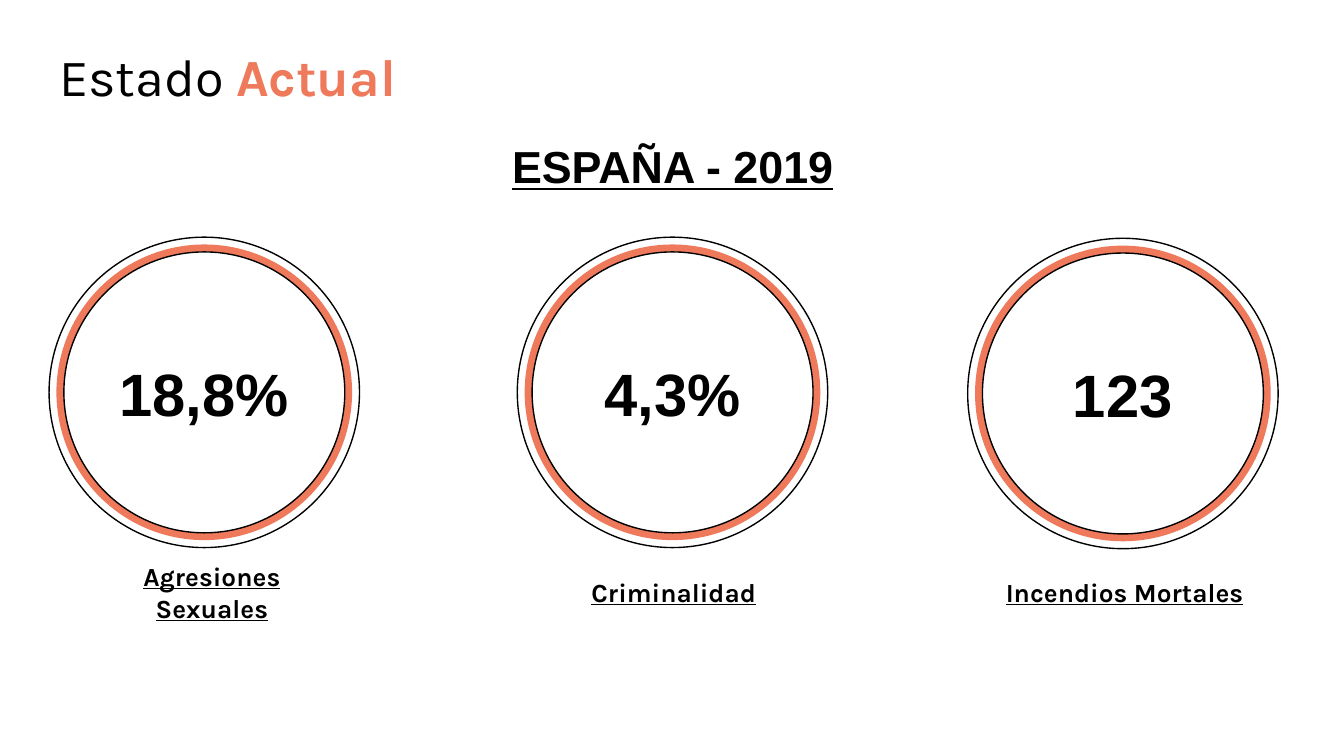
from dataclasses import dataclass
from typing import Optional

from pptx import Presentation
from pptx import util as u
from pptx.dml.color import RGBColor
from pptx.enum import shapes, text

BLACK = RGBColor(0x00, 0x00, 0x00)
WHITE = RGBColor(0xFF, 0xFF, 0xFF)
CORAL = RGBColor(0xEE, 0x79, 0x5B)

WIDTH = u.Inches(10)
HEIGHT = u.Emu(WIDTH * 9 // 16)
INSET = u.Inches(0.1)
LABEL_WIDTH, LABEL_HEIGHT = u.Inches(2.09), u.Inches(0.35)
LABEL_TOP = u.Inches(4.23)


@dataclass(frozen=True)
class Style:
    font: str
    size: int
    color: RGBColor = BLACK
    bold: bool = True
    underline: bool = False


@dataclass(frozen=True)
class Ring:
    diameter: float
    fill: Optional[RGBColor]
    outline: Optional[RGBColor]


@dataclass(frozen=True)
class Statistic:
    value: str
    label: str
    x_percent: float
    y_percent: float
    label_percent: float


HEADING = Style("Arial", 24, underline=True)
VALUE = Style("Arial", 32)
LABEL = Style("Karla", 14, underline=True)
TITLE_RUNS = (
    ("Estado ", Style("Karla", 28, bold=False)),
    ("Actual", Style("Karla", 28, CORAL)),
)
RINGS = (
    Ring(2.2, CORAL, None),
    Ring(2.31, None, BLACK),
    Ring(2.09, WHITE, BLACK),
)
STATISTICS = (
    Statistic("18,8%", "Agresiones Sexuales", 15.2, 51.9, 15.77),
    Statistic("4,3%", "Criminalidad", 50.04, 51.9, 50.13),
    Statistic("123", "Incendios Mortales", 83.55, 52.05, 83.68),
)


def add_run(paragraph, wording: str, style: Style) -> None:
    run = paragraph.add_run()
    run.text = wording
    run.font.name = style.font
    run.font.size = u.Pt(style.size)
    run.font.bold = style.bold
    run.font.underline = style.underline
    run.font.color.rgb = style.color


def set_frame(shape, anchor, wrap: bool = True):
    frame = shape.text_frame
    frame.word_wrap = wrap
    frame.auto_size = text.MSO_AUTO_SIZE.NONE
    frame.vertical_anchor = anchor
    frame.margin_left = frame.margin_right = INSET
    frame.margin_top = frame.margin_bottom = INSET
    return frame.paragraphs[0]


def write_centered(shape, wording: str, style: Style, wrap: bool = True) -> None:
    paragraph = set_frame(shape, text.MSO_ANCHOR.MIDDLE, wrap)
    paragraph.alignment = text.PP_ALIGN.CENTER
    add_run(paragraph, wording, style)


def add_title(slide) -> None:
    title = slide.shapes.title
    title.left, title.top = u.Inches(0.34), u.Inches(0.23)
    title.width, title.height = u.Inches(9.32), u.Inches(0.51)
    paragraph = set_frame(title, text.MSO_ANCHOR.TOP)
    paragraph.alignment = text.PP_ALIGN.LEFT
    paragraph.line_spacing = 1.0
    for wording, style in TITLE_RUNS:
        add_run(paragraph, wording, style)


def add_heading(slide) -> None:
    heading = slide.shapes.add_shape(
        shapes.MSO_SHAPE.RECTANGLE,
        u.Inches(3.54), u.Inches(1.01), u.Inches(2.93), u.Inches(0.45),
    )
    heading.shadow.inherit = False
    heading.fill.solid()
    heading.fill.fore_color.rgb = WHITE
    heading.line.color.rgb = WHITE
    heading.line.width = u.Pt(2)
    write_centered(heading, "ESPAÑA - 2019", HEADING)


def add_ring(slide, ring: Ring, x_percent: float, y_percent: float):
    diameter = u.Inches(ring.diameter)
    circle = slide.shapes.add_shape(
        shapes.MSO_SHAPE.OVAL,
        round(WIDTH * x_percent / 100 - diameter / 2),
        round(HEIGHT * y_percent / 100 - diameter / 2),
        diameter, diameter,
    )
    circle.shadow.inherit = False
    if ring.fill is None:
        circle.fill.background()
    else:
        circle.fill.solid()
        circle.fill.fore_color.rgb = ring.fill
    if ring.outline is None:
        circle.line.fill.background()
    else:
        circle.line.color.rgb = ring.outline
        circle.line.width = u.Pt(0.75)
    return circle


def add_statistic(slide, statistic: Statistic) -> None:
    circles = [
        add_ring(slide, ring, statistic.x_percent, statistic.y_percent)
        for ring in RINGS
    ]
    write_centered(circles[-1], statistic.value, VALUE, wrap=False)
    label = slide.shapes.add_textbox(
        round(WIDTH * statistic.label_percent / 100 - LABEL_WIDTH / 2),
        LABEL_TOP, LABEL_WIDTH, LABEL_HEIGHT,
    )
    write_centered(label, statistic.label, LABEL)


def main() -> None:
    presentation = Presentation()
    presentation.slide_width, presentation.slide_height = WIDTH, HEIGHT
    slide = presentation.slides.add_slide(presentation.slide_layouts[5])
    slide.background.fill.solid()
    slide.background.fill.fore_color.rgb = WHITE
    add_title(slide)
    for statistic in STATISTICS:
        add_statistic(slide, statistic)
    add_heading(slide)
    presentation.save("out.pptx")


if __name__ == "__main__":
    main()
